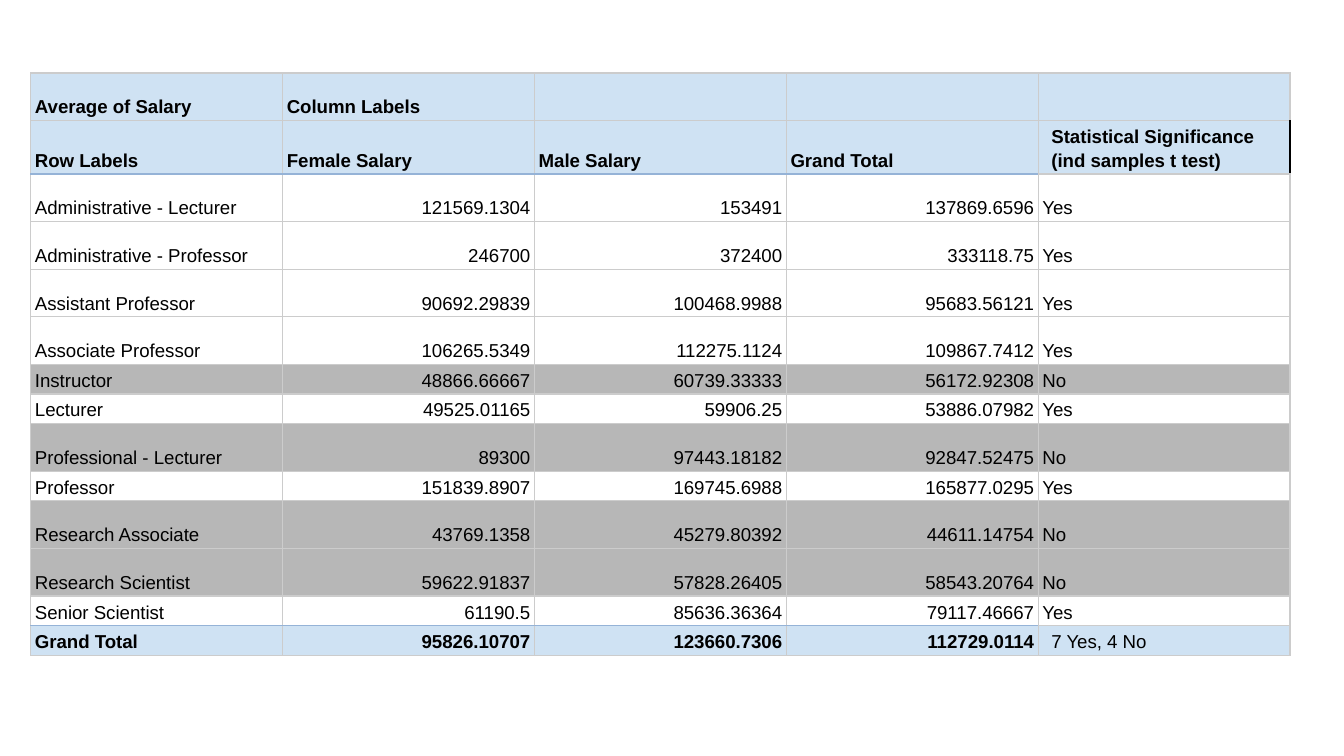
from lxml import etree
from pptx import Presentation
from pptx.dml.color import RGBColor
from pptx.enum import text
from pptx.oxml import ns
from pptx.util import Cm, Pt

BLACK = RGBColor(0x00, 0x00, 0x00)
WHITE = RGBColor(0xFF, 0xFF, 0xFF)
PALE_BLUE = RGBColor(0xCF, 0xE2, 0xF3)
RULE_BLUE = RGBColor(0x95, 0xB3, 0xD7)
GRAY = RGBColor(0xB7, 0xB7, 0xB7)
LINE_GRAY = RGBColor(0xCC, 0xCC, 0xCC)

TALL, SHORT = Cm(0.9), Cm(0.56)
COLUMN_WIDTH = Cm(4.76)
BORDER_WIDTH = Pt(0.75)

HEADERS = [
    ("Average of Salary", "Column Labels", "", "", ""),
    ("Row Labels", "Female Salary", "Male Salary", "Grand Total",
     "Statistical Significance (ind samples t test)"),
]
SALARIES = [
    ("Administrative - Lecturer", "121569.1304", "153491", "137869.6596", "Yes"),
    ("Administrative - Professor", "246700", "372400", "333118.75", "Yes"),
    ("Assistant Professor", "90692.29839", "100468.9988", "95683.56121", "Yes"),
    ("Associate Professor", "106265.5349", "112275.1124", "109867.7412", "Yes"),
    ("Instructor", "48866.66667", "60739.33333", "56172.92308", "No"),
    ("Lecturer", "49525.01165", "59906.25", "53886.07982", "Yes"),
    ("Professional - Lecturer", "89300", "97443.18182", "92847.52475", "No"),
    ("Professor", "151839.8907", "169745.6988", "165877.0295", "Yes"),
    ("Research Associate", "43769.1358", "45279.80392", "44611.14754", "No"),
    ("Research Scientist", "59622.91837", "57828.26405", "58543.20764", "No"),
    ("Senior Scientist", "61190.5", "85636.36364", "79117.46667", "Yes"),
]
TOTALS = ("Grand Total", "95826.10707", "123660.7306", "112729.0114", "7 Yes, 4 No")
ROWS = [*HEADERS, *SALARIES, TOTALS]
SHORT_LABELS = {"Row Labels", "Instructor", "Lecturer", "Professor",
                "Senior Scientist", "Grand Total"}
HEADER_ROW = len(HEADERS) - 1
TOTAL_ROW = len(ROWS) - 1
LAST_COLUMN = len(TOTALS) - 1


def set_all(target, formats):
    for name, value in formats.items():
        setattr(target, name, value)


def fill_color(row, column):
    if row <= HEADER_ROW or row == TOTAL_ROW:
        return PALE_BLUE
    if ROWS[row][LAST_COLUMN] == "No":
        return GRAY
    return None if column == LAST_COLUMN else WHITE


def border_colors(row, column):
    colors = dict.fromkeys(("lnL", "lnR", "lnT", "lnB"), LINE_GRAY)
    if column < LAST_COLUMN:
        if row in (HEADER_ROW, TOTAL_ROW - 1):
            colors["lnB"] = RULE_BLUE
        if row in (HEADER_ROW + 1, TOTAL_ROW):
            colors["lnT"] = RULE_BLUE
    elif row == HEADER_ROW:
        colors["lnR"] = BLACK
    return colors


def draw_borders(cell, colors):
    properties = cell._tc.get_or_add_tcPr()
    for position, (side, color) in enumerate(colors.items()):
        line = etree.Element(ns.qn(f"a:{side}"), w=str(BORDER_WIDTH))
        solid = etree.SubElement(line, ns.qn("a:solidFill"))
        etree.SubElement(solid, ns.qn("a:srgbClr"), val=str(color))
        properties.insert(position, line)


def paint_cell(cell, color):
    if color is None:
        cell.fill.background()
    else:
        cell.fill.solid()
        cell.fill.fore_color.rgb = color


def write_cell(cell, content, row, column):
    indented = column == LAST_COLUMN and row in (HEADER_ROW, TOTAL_ROW)
    side = Cm(0.25) if indented else Cm(0.08)
    set_all(cell, {
        "margin_left": side, "margin_right": side,
        "margin_top": Cm(0.05), "margin_bottom": Cm(0.05),
        "vertical_anchor": text.MSO_ANCHOR.BOTTOM,
    })
    if not content:
        return
    numeric = row > HEADER_ROW and 0 < column < LAST_COLUMN
    bold = row <= HEADER_ROW or (row == TOTAL_ROW and column < LAST_COLUMN)
    paragraph = cell.text_frame.paragraphs[0]
    set_all(paragraph, {
        "alignment": text.PP_ALIGN.RIGHT if numeric else text.PP_ALIGN.LEFT,
        "line_spacing": 1.15,
    })
    run = paragraph.add_run()
    run.text = content
    set_all(run.font, {"name": "Arial", "size": Pt(10), "bold": bold})
    run.font.color.rgb = BLACK


def add_salary_table(slide):
    heights = [SHORT if row[0] in SHORT_LABELS else TALL for row in ROWS]
    frame = slide.shapes.add_table(
        len(ROWS), len(TOTALS), Cm(0.58), Cm(1.38),
        COLUMN_WIDTH * len(TOTALS), sum(heights))
    table = frame.table
    set_all(table, {"first_row": False, "horz_banding": False})
    for column in table.columns:
        column.width = COLUMN_WIDTH
    for row, (contents, height) in enumerate(zip(ROWS, heights)):
        table.rows[row].height = height
        for column, content in enumerate(contents):
            cell = table.cell(row, column)
            write_cell(cell, content, row, column)
            paint_cell(cell, fill_color(row, column))
            draw_borders(cell, border_colors(row, column))


def main():
    presentation = Presentation()
    set_all(presentation, {"slide_width": Cm(25.4), "slide_height": Cm(14.29)})
    slide = presentation.slides.add_slide(presentation.slide_layouts[6])
    add_salary_table(slide)
    presentation.save("out.pptx")


if __name__ == "__main__":
    main()
